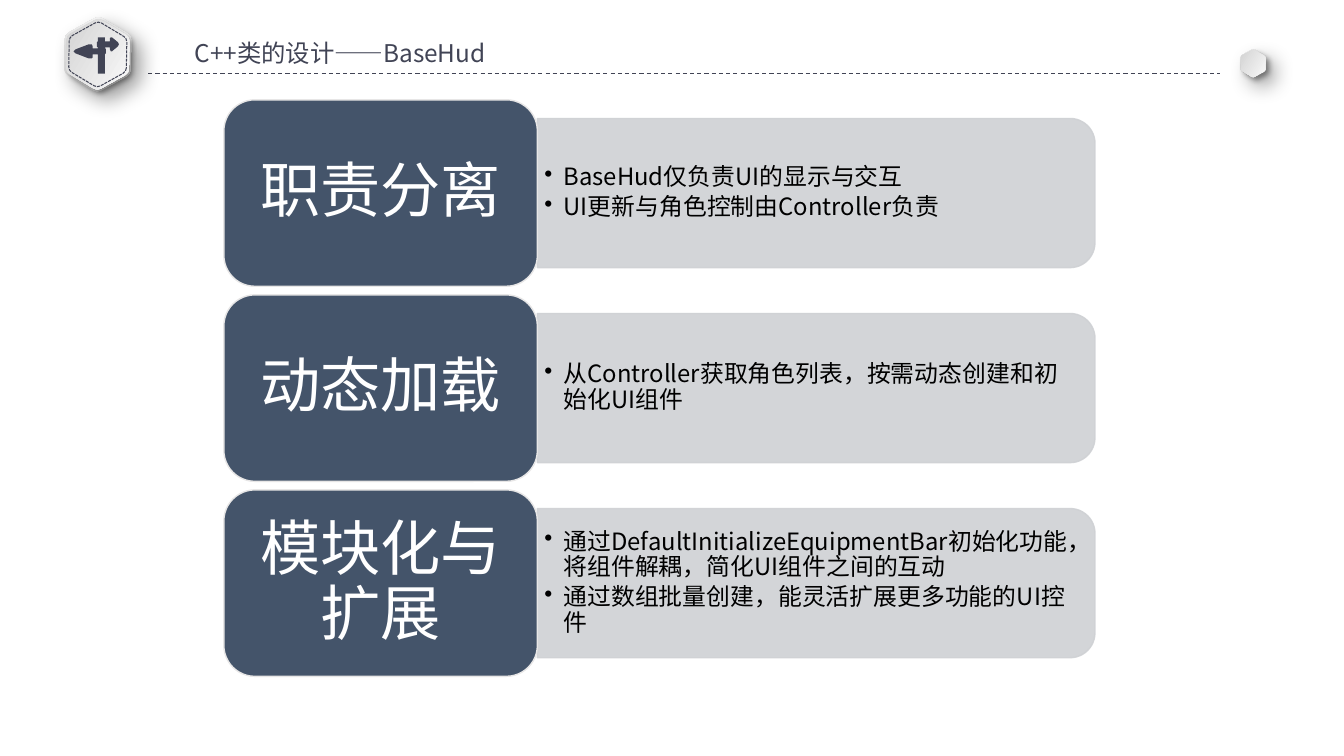
"""Build the BaseHud class design slide."""
from dataclasses import dataclass
from math import cos, radians, sin

from lxml.etree import SubElement
from pptx import Presentation
from pptx.dml.color import RGBColor
from pptx.enum.dml import MSO_LINE
from pptx.enum.shapes import MSO_CONNECTOR, MSO_SHAPE
from pptx.enum.text import MSO_ANCHOR, PP_ALIGN
from pptx.oxml.ns import qn
from pptx.util import Inches, Pt

DASH, SHORT = MSO_LINE.DASH, MSO_LINE.SQUARE_DOT
STRAIGHT = MSO_CONNECTOR.STRAIGHT
ROUND, TOPS = MSO_SHAPE.ROUNDED_RECTANGLE, MSO_SHAPE.ROUND_2_SAME_RECTANGLE
MIDDLE, CENTER = MSO_ANCHOR.MIDDLE, PP_ALIGN.CENTER


@dataclass(frozen=True)
class Theme:
    font: str = "Noto Sans CJK SC"
    ink: str = "414455"
    navy: str = "44546A"
    edge: str = "E7E6E6"
    panel: str = "CFD1D4"
    dark: str = "D3D3D3"
    light: str = "F9F9F9"
    black: str = "000000"
    white: str = "FFFFFF"
    title: float = 17.4
    label: float = 43
    body: float = 17


@dataclass(frozen=True)
class Shade:
    blur: float
    dist: float


@dataclass(frozen=True)
class Hex:
    x: float
    y: float
    size: float
    angle: float = 0
    shade: Shade | None = None


@dataclass(frozen=True)
class Row:
    label: str
    notes: tuple[str, ...]


THEME = Theme()
WIDE, TIGHT = Shade(15, 9), Shade(4, 3)
LIT, SIDE = 59, 329
HEXES = (
    Hex(12.43, 0.63, 0.145, LIT, WIDE),
    Hex(12.43, 0.63, 0.14, SIDE, TIGHT),
    Hex(0.97, 0.54, 0.38, LIT, WIDE),
    Hex(0.97, 0.54, 0.36, SIDE, TIGHT),
    Hex(0.97, 0.54, 0.33),
)
SIGN = (
    (1.17, 0.42), (1.11, 0.37), (1.1, 0.37), (1.09, 0.38), (1.09, 0.41),
    (1.04, 0.41), (1.04, 0.37), (0.97, 0.37), (0.97, 0.41), (0.96, 0.42),
    (0.96, 0.46), (0.97, 0.47), (0.97, 0.48), (0.92, 0.48), (0.92, 0.46),
    (0.91, 0.44), (0.88, 0.44), (0.75, 0.49), (0.73, 0.51), (0.75, 0.53),
    (0.88, 0.58), (0.91, 0.58), (0.92, 0.57), (0.92, 0.54), (0.97, 0.54),
    (0.97, 0.73), (1.04, 0.73), (1.04, 0.54), (1.05, 0.53), (1.05, 0.49),
    (1.04, 0.47), (1.09, 0.47), (1.09, 0.49), (1.1, 0.51), (1.11, 0.51),
    (1.17, 0.46), (1.18, 0.44),
)
ROWS = (
    Row("职责分离", ("BaseHud仅负责UI的显示与交互", "UI更新与角色控制由Controller负责")),
    Row("动态加载", ("从Controller获取角色列表，按需动态创建和初始化UI组件",)),
    Row("模块化与扩展", (
        "通过DefaultInitializeEquipmentBar初始化功能，将组件解耦，简化UI组件之间的互动",
        "通过数组批量创建，能灵活扩展更多功能的UI控件",
    )),
)
LEFT, TOP, PITCH = 2.22, 0.99, 1.935
CARD_W, CARD_H = 3.11, 1.85
PANEL_W, PANEL_H = 5.53, 1.48
NOTE_W, NOTE_H = 5.46, 1.33


def tint(hue: str) -> RGBColor:
    """Turn a hex code into a colour."""
    return RGBColor.from_string(hue)


def paint(shape, fill: str, line: str | None = None) -> None:
    """Give a shape a flat fill and an optional thin line."""
    shape.shadow.inherit = False
    shape.fill.solid()
    shape.fill.fore_color.rgb = tint(fill)
    if line:
        shape.line.color.rgb = tint(line)
        shape.line.width = Pt(1)
    else:
        shape.line.fill.background()


def outline(line, dash) -> None:
    """Style a thin dashed line."""
    line.color.rgb = tint(THEME.ink)
    line.width = Pt(0.75)
    line.dash_style = dash


def write(para, text: str, size: float, hue: str) -> None:
    """Add one run of styled text."""
    run = para.add_run()
    run.text = text
    run.font.size = Pt(size)
    run.font.name = THEME.font
    run.font.color.rgb = tint(hue)
    SubElement(run.font._element, qn("a:ea"), typeface=THEME.font)


def inset(frame, side: float, end: float) -> None:
    """Set wrapping and margins of a text frame."""
    frame.word_wrap = True
    frame.margin_left = frame.margin_right = Inches(side)
    frame.margin_top = frame.margin_bottom = Inches(end)


def trace(shapes, points):
    """Draw a closed outline through points."""
    spots = [(Inches(x), Inches(y)) for x, y in points]
    pen = shapes.build_freeform(*spots[0], scale=1.0)
    pen.add_line_segments(spots[1:], close=True)
    return pen.convert_to_shape()


def corners(item: Hex) -> list[tuple[float, float]]:
    """List the points of a hexagon with softened corners."""
    tips = [(item.x + item.size * cos(radians(a)), item.y + item.size * sin(radians(a)))
            for a in range(31, 391, 60)]
    points = []
    for i, tip in enumerate(tips):
        prev, after = tips[i - 1], tips[(i + 1) % 6]
        for back, ahead in ((0.11, 0), (0.03, 0.03), (0, 0.11)):
            x, y = (t + back * (p - t) + ahead * (n - t)
                    for t, p, n in zip(tip, prev, after))
            points.append((x, y))
    return points


def cast(shape, shade: Shade) -> None:
    """Give a shape a soft shadow to the lower right."""
    effects = shape._element.spPr.find(qn("a:effectLst"))
    outer = SubElement(effects, qn("a:outerShdw"), blurRad=str(Pt(shade.blur)),
                       dist=str(Pt(shade.dist)), dir="2700000", algn="tl", rotWithShape="0")
    hue = SubElement(outer, qn("a:srgbClr"), val=THEME.black)
    SubElement(hue, qn("a:alpha"), val="40000")


def draw_hex(shapes, item: Hex) -> None:
    """Draw a shaded hexagon or a dashed one."""
    shape = trace(shapes, corners(item))
    shape.shadow.inherit = False
    if item.shade is None:
        shape.fill.background()
        outline(shape.line, SHORT)
        return
    shape.fill.gradient()
    shape.fill.gradient_angle = item.angle
    for stop, hue, place in zip(shape.fill.gradient_stops, (THEME.dark, THEME.light), (0, 1)):
        stop.color.rgb = tint(hue)
        stop.position = place
    shape.line.fill.background()
    cast(shape, item.shade)


def draw_head(shapes) -> None:
    """Draw the title, its rule and the icons."""
    box = shapes.add_textbox(Inches(1.89), Inches(0.34), Inches(3.83), Inches(0.37))
    inset(box.text_frame, 0.04, 0.04)
    write(box.text_frame.paragraphs[0], "C++类的设计——BaseHud", THEME.title, THEME.ink)
    rule = shapes.add_connector(STRAIGHT, Inches(1.47), Inches(0.73), Inches(12.1), Inches(0.73))
    outline(rule.line, DASH)
    SubElement(rule._element.spPr, qn("a:effectLst"))
    for item in HEXES:
        draw_hex(shapes, item)
    paint(trace(shapes, SIGN), THEME.ink)


def draw_row(shapes, row: Row, top: float) -> None:
    """Draw one label card with its panel of notes."""
    edge, mid = LEFT + CARD_W, top + CARD_H / 2
    panel = shapes.add_shape(TOPS, Inches(edge + (PANEL_W - PANEL_H) / 2),
                             Inches(mid - PANEL_W / 2), Inches(PANEL_H), Inches(PANEL_W))
    panel.rotation = 90
    paint(panel, THEME.panel, THEME.panel)
    for hue in panel._element.spPr.iter(qn("a:srgbClr")):
        SubElement(hue, qn("a:alpha"), val="90000")
    box = shapes.add_textbox(Inches(edge), Inches(mid - NOTE_H / 2), Inches(NOTE_W), Inches(NOTE_H))
    frame = box.text_frame
    inset(frame, 0.07, 0.04)
    frame.vertical_anchor = MIDDLE
    for i, note in enumerate(row.notes):
        para = frame.add_paragraph() if i else frame.paragraphs[0]
        props = para._p.get_or_add_pPr()
        props.set("marL", str(Inches(0.19)))
        props.set("indent", str(Inches(-0.19)))
        SubElement(props, qn("a:buChar"), char="•")
        para.line_spacing = 0.9
        para.space_after = Pt(3)
        write(para, note, THEME.body, THEME.black)
    card = shapes.add_shape(ROUND, Inches(LEFT), Inches(top), Inches(CARD_W), Inches(CARD_H))
    paint(card, THEME.navy, THEME.edge)
    inset(card.text_frame, 0.18, 0.09)
    card.text_frame.vertical_anchor = MIDDLE
    para = card.text_frame.paragraphs[0]
    para.alignment = CENTER
    para.line_spacing = 0.9
    write(para, row.label, THEME.label, THEME.white)


def main() -> None:
    """Build and save the slide."""
    deck = Presentation()
    deck.slide_width, deck.slide_height = Inches(13.33), Inches(7.5)
    shapes = deck.slides.add_slide(deck.slide_layouts[6]).shapes
    draw_head(shapes)
    for i, row in enumerate(ROWS):
        draw_row(shapes, row, TOP + i * PITCH)
    deck.save("out.pptx")


if __name__ == "__main__":
    main()
